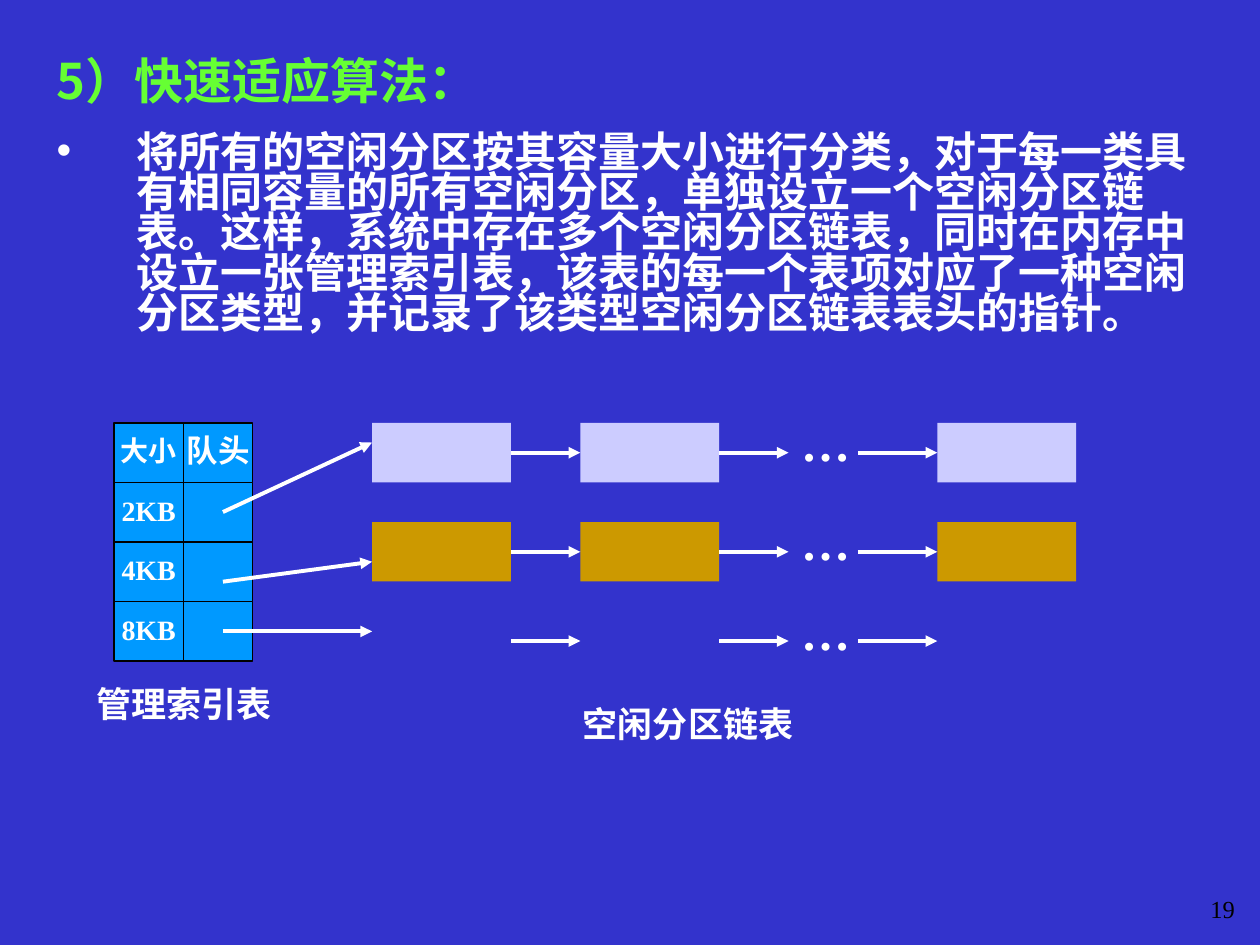
from dataclasses import dataclass

from lxml import etree
from pptx import Presentation
from pptx.dml.color import RGBColor
from pptx.enum.shapes import MSO_CONNECTOR, MSO_SHAPE
from pptx.enum.text import MSO_ANCHOR, MSO_AUTO_SIZE, PP_ALIGN
from pptx.oxml.ns import qn
from pptx.util import Pt

STRAIGHT = MSO_CONNECTOR.STRAIGHT
RECTANGLE = MSO_SHAPE.RECTANGLE
TOP, MIDDLE = MSO_ANCHOR.TOP, MSO_ANCHOR.MIDDLE
NO_AUTOFIT = MSO_AUTO_SIZE.NONE
LEFT, CENTER, RIGHT = PP_ALIGN.LEFT, PP_ALIGN.CENTER, PP_ALIGN.RIGHT

COLORS = {
    "background": "3333CC", "title": "66FF33", "text": "FFFFFF",
    "number": "000000", "index": "0099FF", "border": "000000",
    "small": "CCCCFF", "medium": "CC9900", "large": "3333CC",
}
SANS, SERIF = "Noto Sans CJK SC", "Times New Roman"

TITLE = "5）快速适应算法："
BODY = (
    "将所有的空闲分区按其容量大小进行分类，对于每一类具有相同容量的所有空闲分区，"
    "单独设立一个空闲分区链表。这样，系统中存在多个空闲分区链表，"
    "同时在内存中设立一张管理索引表，该表的每一个表项对应了一种空闲分区类型，"
    "并记录了该类型空闲分区链表表头的指针。"
)
INDEX_ROWS = [("大小", "队头"), ("2KB", ""), ("4KB", ""), ("8KB", "")]
INDEX_SIZES = (16, 18)
INDEX_LEFT, INDEX_TOP = 65.1, 241.7
CELL_WIDTH, CELL_HEIGHT = 39.7, 34

NODE_LEFTS = (212.6, 331.6, 535.6)
NODE_WIDTH, NODE_HEIGHT = 79.4, 34
LINK_SPANS = ((292, 331.6), (411, 450.6), (490.2, 535.6))
ELLIPSIS_LEFT, ELLIPSIS_RISE = 450.7, 5.5
POINTER_LEFT = 127.4


@dataclass(frozen=True)
class Chain:
    color: str
    top: float
    pointer_start: float
    pointer_end: float


@dataclass(frozen=True)
class Label:
    text: str
    left: float
    top: float
    width: float
    height: float
    size: float
    color: str = "text"
    bold: bool = True
    align: PP_ALIGN = LEFT
    east_asian: str = SANS
    spacing: float = 0.9


CHAINS = [
    Chain("small", 241.7, 292.6, 252.9),
    Chain("medium", 298.3, 332.4, 321),
    Chain("large", 349.3, 360.8, 360.8),
]
LABELS = [
    Label("管理索引表", 48.2, 389.1, 124.6, 28.8, 20),
    Label("空闲分区链表", 326, 400.6, 175.7, 28.8, 20),
    Label("19", 679.7, 507.2, 33.1, 31.7, 14, "number", False, RIGHT, SERIF, 1),
]


def rgb(name: str) -> RGBColor:
    return RGBColor.from_string(COLORS[name])


def add_run(paragraph, text: str, size: float, color: str = "text",
            bold: bool = True, latin: str = SERIF, east_asian: str = SANS) -> None:
    run = paragraph.add_run()
    run.text = text
    run.font.size = Pt(size)
    run.font.bold = bold
    run.font.color.rgb = rgb(color)
    run.font.name = latin
    typeface = etree.Element(qn("a:ea"), typeface=east_asian)
    run.font._element.find(qn("a:latin")).addnext(typeface)


def fill_placeholder(shape, top: float, height: float):
    """Move a placeholder into the text column and return its first paragraph."""
    shape.left, shape.top = Pt(25.2), Pt(top)
    shape.width, shape.height = Pt(671.8), Pt(height)
    frame = shape.text_frame
    frame.auto_size = NO_AUTOFIT
    frame.vertical_anchor = TOP
    paragraph = frame.paragraphs[0]
    paragraph.alignment = LEFT
    paragraph.line_spacing = 0.8
    paragraph.space_before = Pt(0)
    return paragraph


def add_white_bullet(paragraph, indent: float) -> None:
    properties = paragraph._p.get_or_add_pPr()
    properties.set("marL", str(Pt(indent)))
    properties.set("indent", str(-Pt(indent)))
    properties.set("hangingPunct", "0")
    bullet_color = etree.SubElement(properties, qn("a:buClr"))
    etree.SubElement(bullet_color, qn("a:srgbClr"), val=COLORS["text"])
    etree.SubElement(properties, qn("a:buChar"), char="•")


def add_label(slide, label: Label) -> None:
    box = slide.shapes.add_textbox(
        Pt(label.left), Pt(label.top), Pt(label.width), Pt(label.height))
    box.text_frame.word_wrap = True
    paragraph = box.text_frame.paragraphs[0]
    paragraph.alignment = label.align
    paragraph.line_spacing = label.spacing
    add_run(paragraph, label.text, label.size, label.color, label.bold,
            east_asian=label.east_asian)


def add_arrow(slide, left: float, start: float, right: float, end: float) -> None:
    arrow = slide.shapes.add_connector(
        STRAIGHT, Pt(left), Pt(start), Pt(right), Pt(end))
    arrow.line.color.rgb = rgb("text")
    arrow.line.width = Pt(2.25)
    etree.SubElement(arrow.line._get_or_add_ln(), qn("a:tailEnd"), type="triangle")
    etree.SubElement(arrow._element.spPr, qn("a:effectLst"))


def add_box(slide, left: float, top: float, width: float, height: float, color: str):
    box = slide.shapes.add_shape(RECTANGLE, Pt(left), Pt(top), Pt(width), Pt(height))
    box.shadow.inherit = False
    box.fill.solid()
    box.fill.fore_color.rgb = rgb(color)
    box.line.fill.background()
    return box


def add_index(slide) -> None:
    for row, texts in enumerate(INDEX_ROWS):
        for column, (text, size) in enumerate(zip(texts, INDEX_SIZES)):
            cell = add_box(slide, INDEX_LEFT + column * CELL_WIDTH,
                           INDEX_TOP + row * CELL_HEIGHT,
                           CELL_WIDTH, CELL_HEIGHT, "index")
            cell.line.color.rgb = rgb("border")
            cell.line.width = Pt(0.75)
            if text:
                frame = cell.text_frame
                frame.word_wrap = False
                frame.vertical_anchor = MIDDLE
                paragraph = frame.paragraphs[0]
                paragraph.alignment = CENTER
                paragraph.line_spacing = 0.9
                add_run(paragraph, text, size)


def add_chain(slide, chain: Chain) -> None:
    for left in NODE_LEFTS:
        add_box(slide, left, chain.top, NODE_WIDTH, NODE_HEIGHT, chain.color)
    add_arrow(slide, POINTER_LEFT, chain.pointer_start,
              NODE_LEFTS[0], chain.pointer_end)
    middle = chain.top + NODE_HEIGHT / 2
    for left, right in LINK_SPANS:
        add_arrow(slide, left, middle, right, middle)
    add_label(slide, Label("…", ELLIPSIS_LEFT, chain.top - ELLIPSIS_RISE,
                           73.4, 37.4, 28, east_asian=SERIF))


def main() -> None:
    presentation = Presentation()
    presentation.slide_width, presentation.slide_height = Pt(720), Pt(540)
    slide = presentation.slides.add_slide(presentation.slide_layouts[1])
    slide.background.fill.solid()
    slide.background.fill.fore_color.rgb = rgb("background")

    title = fill_placeholder(slide.shapes.title, 31.7, 40)
    add_run(title, TITLE, 28, "title", latin=SANS)
    body = slide.placeholders[1]
    add_white_bullet(body.text_frame.paragraphs[0], 45.4)
    add_run(fill_placeholder(body, 73.6, 124), BODY, 24, latin=SANS)

    add_index(slide)
    for chain in CHAINS:
        add_chain(slide, chain)
    for label in LABELS:
        add_label(slide, label)
    presentation.save("out.pptx")


if __name__ == "__main__":
    main()
